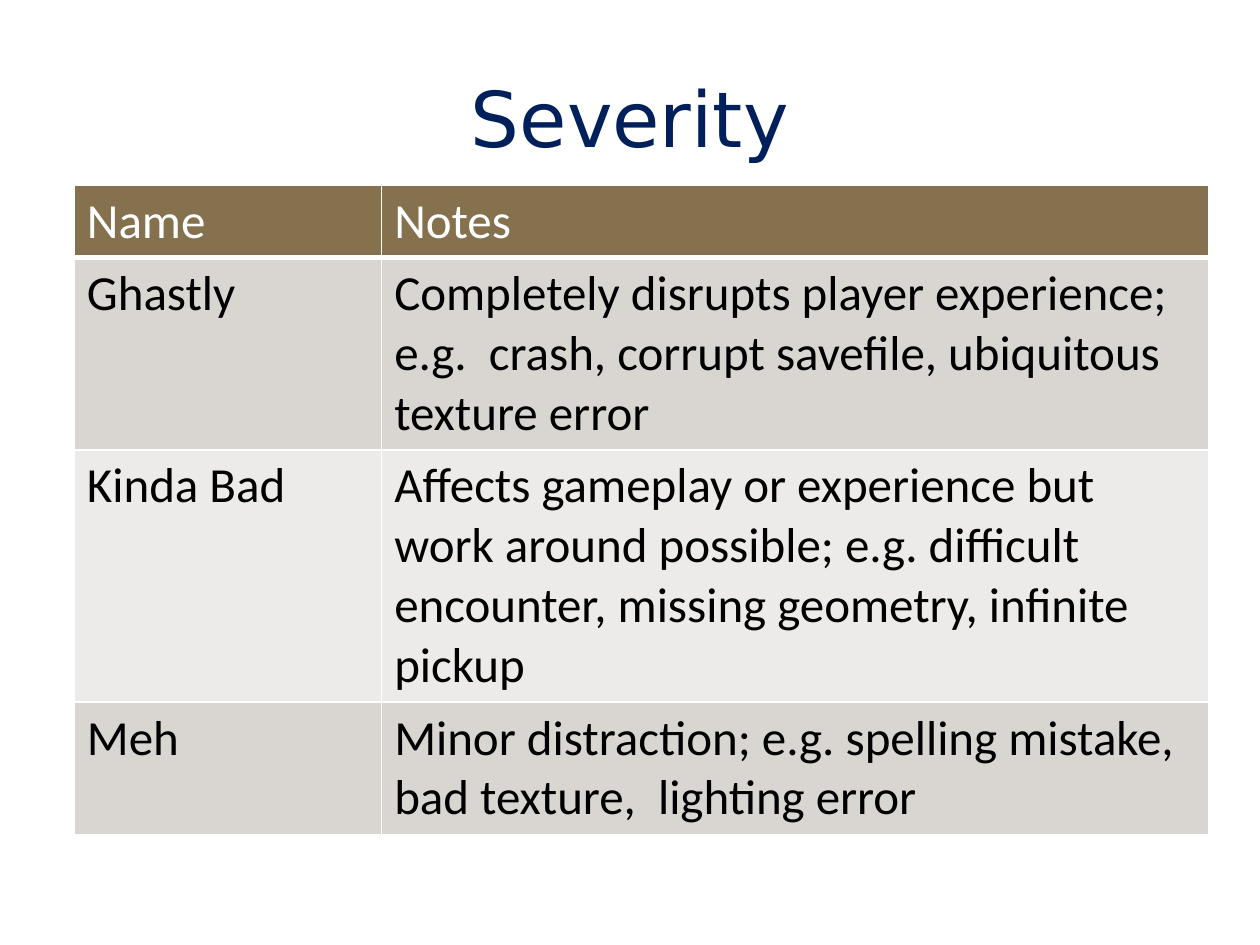
from lxml.etree import fromstring
from pptx import Presentation
from pptx.dml.color import RGBColor
from pptx.enum.text import MSO_ANCHOR, PP_ALIGN
from pptx.oxml.ns import nsdecls
from pptx.util import Inches, Pt

ROWS = [
    ("Name", "Notes"),
    ("Ghastly", "Completely disrupts player experience; e.g.  crash, "
                "corrupt savefile, ubiquitous texture error"),
    ("Kinda Bad", "Affects gameplay or experience but work around possible; "
                  "e.g. difficult encounter, missing geometry, infinite pickup"),
    ("Meh", "Minor distraction; e.g. spelling mistake, bad texture,  "
            "lighting error"),
]
LINES = [1, 3, 4, 2]  # text lines in each row
HEAD, BANDS = "85714D", ("EDEBE9", "D9D5D0")


def color(code):
    return RGBColor.from_string(code)


def style(para, face, size, code):
    font = para.font
    font.name, font.size, font.bold = face, Pt(size), False
    font.color.rgb = color(code)


def edge(cell, base):
    """Draw white borders; base is the width of the bottom one."""
    widths = {"L": 1, "R": 1, "T": 1, "B": base}
    for spot, (side, width) in enumerate(widths.items()):
        line = fromstring(
            f'<a:ln{side} {nsdecls("a")} w="{Pt(width)}"><a:solidFill>'
            f'<a:srgbClr val="FFFFFF"/></a:solidFill></a:ln{side}>')
        cell._tc.get_or_add_tcPr().insert(spot, line)


def add_title(slide, box, text):
    title = slide.shapes.title
    title.left, title.top, title.width, title.height = map(Inches, box)
    frame = title.text_frame
    frame.text = text
    frame.vertical_anchor = MSO_ANCHOR.MIDDLE
    para = frame.paragraphs[0]
    para.alignment = PP_ALIGN.CENTER
    style(para, "DejaVu Sans", 44, "00205B")


def add_grid(slide, box, shares):
    left, top, width, height = map(Inches, box)
    grid = slide.shapes.add_table(
        len(ROWS), len(shares), left, top, width, height).table
    for col, share in zip(grid.columns, shares):
        col.width = int(width * share)

    # Each row holds its text lines plus the cell margins
    pad = Inches(0.1)
    step = (height - pad * len(ROWS)) / sum(LINES)
    for r, (texts, count) in enumerate(zip(ROWS, LINES)):
        grid.rows[r].height = int(pad + step * count)
        for c, text in enumerate(texts):
            cell = grid.cell(r, c)
            cell.text = text
            cell.fill.solid()
            cell.fill.fore_color.rgb = color(BANDS[r % 2] if r else HEAD)
            edge(cell, 1 if r else 3)
            style(cell.text_frame.paragraphs[0], "Calibri", 28,
                  "000000" if r else "FFFFFF")


deck = Presentation()
deck.slide_width, deck.slide_height = Inches(10), Inches(7.5)
page = deck.slides.add_slide(deck.slide_layouts[5])
add_title(page, (0.5, 0.3, 9, 1.25), "Severity")
add_grid(page, (0.59, 1.47, 9, 5.14), (0.271, 0.729))
deck.save("out.pptx")
